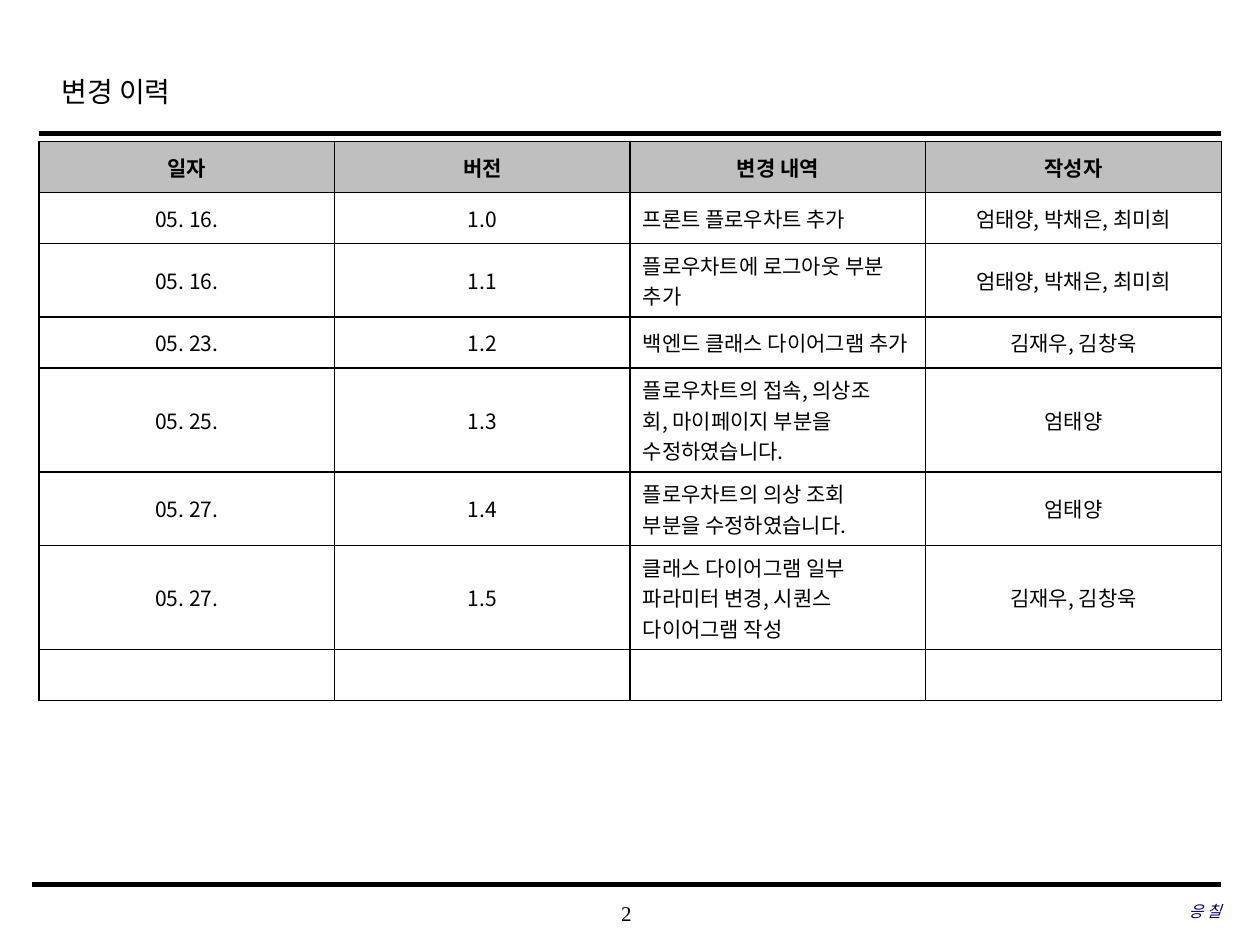
from dataclasses import dataclass
from lxml.etree import SubElement as Sub
from pptx import Presentation
from pptx.dml.color import RGBColor as Rgb
from pptx.enum.shapes import MSO_CONNECTOR as Conn
from pptx.enum.text import MSO_ANCHOR as Anchor, PP_ALIGN as Align
from pptx.oxml.ns import qn
from pptx.util import Pt


@dataclass(frozen=True)
class Theme:
    ink: str = "000000"
    head: str = "BFBFBF"
    paper: str = "FFFFFF"
    team: str = "000066"
    serif: str = "Times New Roman"
    sans: str = "Noto Sans CJK KR"
    title: float = 16
    body: float = 12
    note: float = 9
    pitch: float = 17.4
    pad: float = 7.2


THEME = Theme()
HEADS = ["일자", "버전", "변경 내역", "작성자"]
FRONT, BACK, LEAD = "엄태양, 박채은, 최미희", "김재우, 김창욱", "엄태양"
LOG = [
    ["05. 16.", "1.0", "프론트 플로우차트 추가", FRONT],
    ["05. 16.", "1.1", "플로우차트에 로그아웃 부분\v추가", FRONT],
    ["05. 23.", "1.2", "백엔드 클래스 다이어그램 추가", BACK],
    ["05. 25.", "1.3", "플로우차트의 접속, 의상조\v회, 마이페이지 부분을\v수정하였습니다.", LEAD],
    ["05. 27.", "1.4", "플로우차트의 의상 조회\v부분을 수정하였습니다.", LEAD],
    ["05. 27.", "1.5", "클래스 다이어그램 일부\v파라미터 변경, 시퀀스\v다이어그램 작성", BACK],
    [""] * len(HEADS),
]


def style(para, size, face, color=THEME.ink, align=Align.LEFT, bold=False, italic=False):
    para.alignment = align
    font = para.font
    font.size, font.name, font.bold, font.italic = Pt(size), face, bold, italic
    font.color.rgb = Rgb.from_string(color)
    Sub(para._p.pPr.find(qn("a:defRPr")), qn("a:ea"), typeface=THEME.sans)


def add_text(slide, box, text, size, inset=True, **look):
    frame = slide.shapes.add_textbox(*map(Pt, box)).text_frame
    frame.word_wrap = True
    if not inset:
        frame.margin_left = frame.margin_right = 0
        frame.margin_top = frame.margin_bottom = 0
        frame.vertical_anchor = Anchor.MIDDLE
    frame.text = text
    para = frame.paragraphs[0]
    style(para, size, THEME.serif, **look)
    return para


def add_rule(slide, left, right, top, width):
    rule = slide.shapes.add_connector(Conn.STRAIGHT, Pt(left), Pt(top), Pt(right), Pt(top))
    rule.line.color.rgb = Rgb.from_string(THEME.ink)
    rule.line.width = Pt(width)
    Sub(rule._element.spPr, qn("a:effectLst"))


def add_edges(cell):
    props = cell._tc.get_or_add_tcPr()
    for spot, side in enumerate(("lnL", "lnR", "lnT", "lnB")):
        edge = Sub(props, qn(f"a:{side}"), w=str(Pt(1)))
        props.insert(spot, edge)
        Sub(Sub(edge, qn("a:solidFill")), qn("a:srgbClr"), val=THEME.ink)


def add_head(slide, box):
    left, top, width, height = box
    title = add_text(slide, (left + 5.76, top, 543.6, 36), "변경 이력", THEME.title)
    title.line_spacing = 1.2
    add_rule(slide, left, left + width, top + height, 2.5)


def add_log(slide, box):
    rows = [HEADS] + LOG
    table = slide.shapes.add_table(len(rows), len(HEADS), *map(Pt, box)).table
    for col in table.columns:
        col.width = Pt(box[2] / len(HEADS))
    for at, row in enumerate(rows):
        lines = row[2].count("\v") + 1
        table.rows[at].height = Pt(max(box[3] / len(rows), THEME.pad + lines * THEME.pitch))
        for col, text in enumerate(row):
            cell = table.cell(at, col)
            cell.text = text
            cell.vertical_anchor = Anchor.MIDDLE
            cell.fill.solid()
            cell.fill.fore_color.rgb = Rgb.from_string(THEME.paper if at else THEME.head)
            add_edges(cell)
            align = Align.LEFT if at and col == 2 else Align.CENTER
            style(cell.text_frame.paragraphs[0], THEME.body, THEME.sans,
                  align=align, bold=at == 0)


def add_foot(slide, box):
    left, top, width, height = box
    right = left + width
    add_rule(slide, left, right, top, 3)
    add_text(slide, (left + 265, top + 4.3, 149.8, height), "2", THEME.body,
             inset=False, align=Align.CENTER)
    add_text(slide, (right - 220.3, top + 3.6, 220.3, height), "응 칠", THEME.note,
             inset=False, color=THEME.team, align=Align.RIGHT, italic=True)


def main():
    deck = Presentation()
    deck.slide_width, deck.slide_height = Pt(720), Pt(540)
    slide = deck.slides.add_slide(deck.slide_layouts[6])
    add_head(slide, (22.3, 35.3, 675.4, 41))
    add_log(slide, (22.3, 80.8, 675.6, 233.6))
    add_foot(slide, (18, 505.4, 679.7, 23.8))
    deck.save("out.pptx")


if __name__ == "__main__":
    main()
